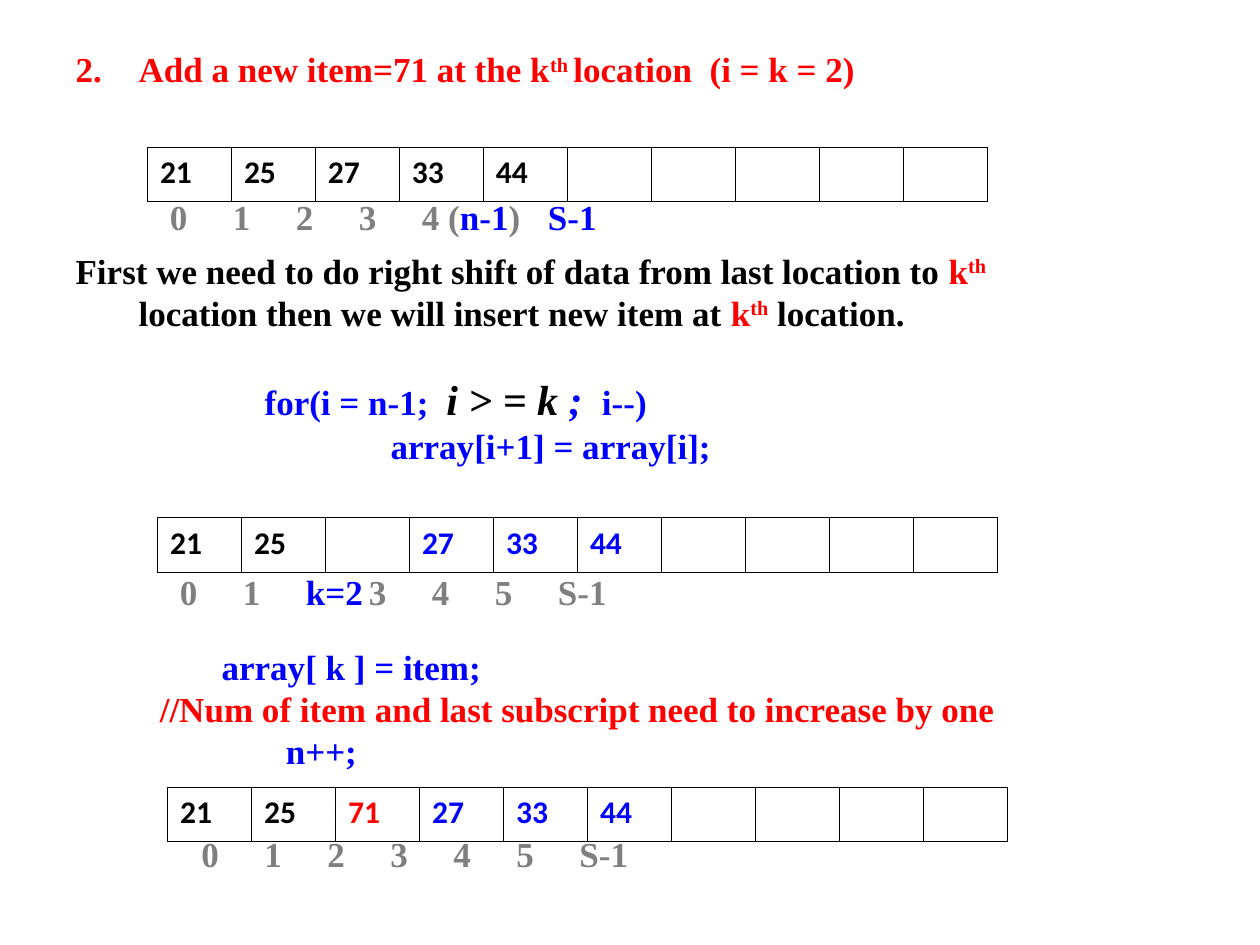
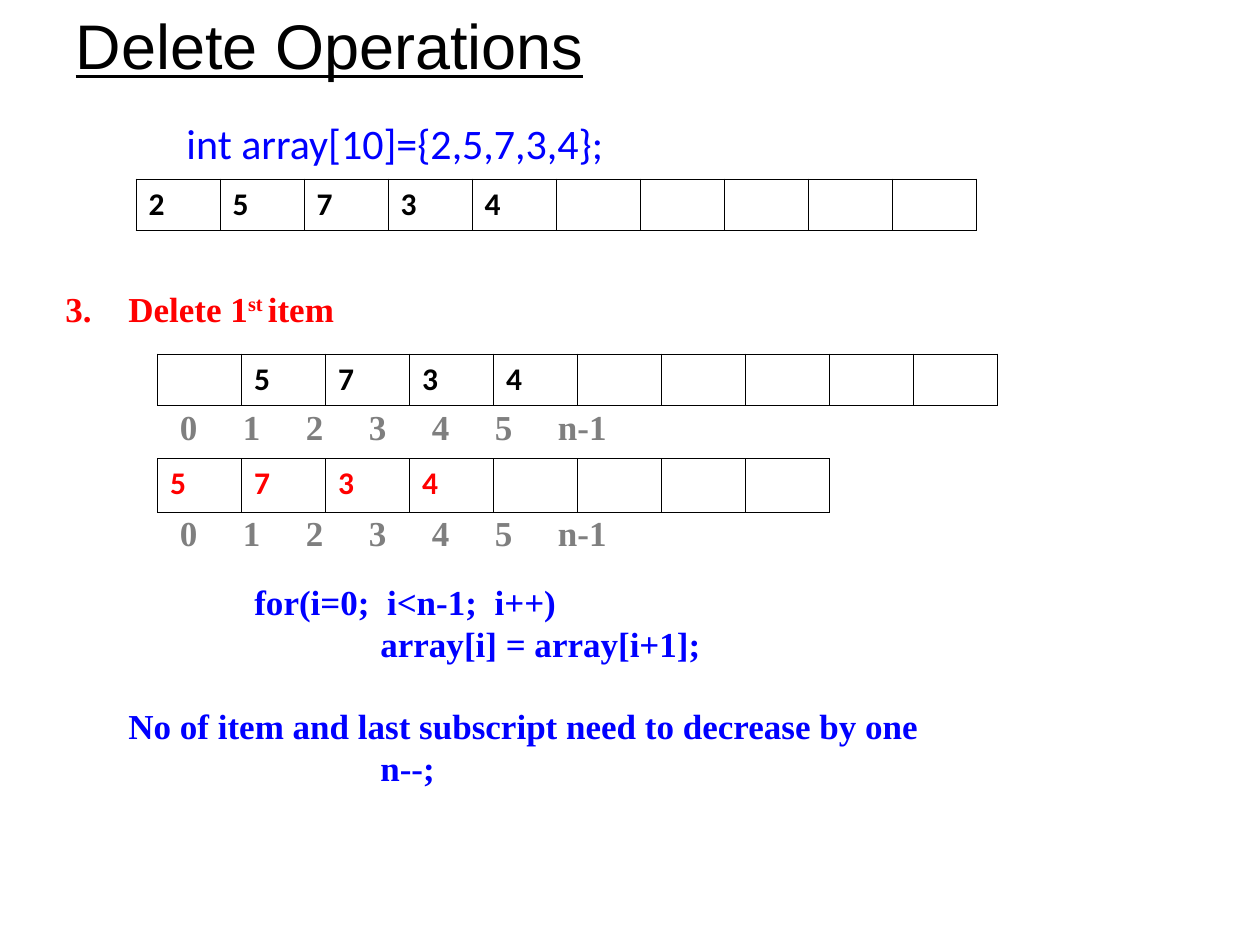
from dataclasses import dataclass

from lxml import etree
from pptx import Presentation
from pptx.dml.color import RGBColor
from pptx.enum.text import MSO_ANCHOR, MSO_AUTO_SIZE, PP_ALIGN
from pptx.oxml.ns import qn
from pptx.util import Inches, Pt

LEFT = PP_ALIGN.LEFT
TOP, MIDDLE = MSO_ANCHOR.TOP, MSO_ANCHOR.MIDDLE
NO_FIT = MSO_AUTO_SIZE.NONE

BLACK, WHITE, GRAY = "000000", "FFFFFF", "7F7F7F"
RED, BLUE = "FF0000", "0000FF"
SERIF, SANS, TITLE_FONT = "Times New Roman", "Calibri", "Arial"
CELL_WIDTH = 2 / 3
BLANK_LINE = 23
INDEX_STOPS = (0.76, 1.39, 2.01, 2.71, 3.47, 5.9)


@dataclass(frozen=True)
class Span:
    text: str
    color: str = BLUE
    size: int = 20
    font: str = SERIF
    bold: bool = True
    italic: bool = False
    underline: bool = False
    raised: bool = False


@dataclass(frozen=True)
class Line:
    spans: tuple[Span, ...]
    indent: float = 0
    hanging: float = 0
    before: float = 0
    stops: tuple[float, ...] = ()
    number: int = 0


@dataclass(frozen=True)
class Area:
    left: float
    top: float
    width: float
    height: float


@dataclass(frozen=True)
class ArrayRow:
    left: float
    top: float
    height: float
    values: tuple[str, ...]
    colors: tuple[str, ...]
    slots: int = 10


def rgb(color: str) -> RGBColor:
    return RGBColor.from_string(color)


def child(parent, tag: str, **attributes: str):
    return etree.SubElement(parent, qn(tag), attributes)


def add_span(para, span: Span) -> None:
    run = para.add_run()
    run.text = span.text
    font = run.font
    font.name, font.size = span.font, Pt(span.size)
    font.bold, font.italic, font.underline = span.bold, span.italic, span.underline
    font.color.rgb = rgb(span.color)
    if span.raised:
        font._element.set("baseline", "30000")


def format_line(para, line: Line) -> None:
    para.alignment = LEFT
    para.space_before = Pt(line.before)
    para.space_after = Pt(0)
    props = para._p.get_or_add_pPr()
    props.set("marL", str(Inches(line.indent)))
    props.set("indent", str(-Inches(line.hanging)))
    if line.number:
        child(child(props, "a:buClr"), "a:srgbClr", val=line.spans[0].color)
        child(props, "a:buFont", typeface=SERIF)
        child(props, "a:buAutoNum", type="arabicPeriod", startAt=str(line.number))
    else:
        child(props, "a:buNone")
    if line.stops:
        tabs = child(props, "a:tabLst")
        for stop in line.stops:
            child(tabs, "a:tab", pos=str(Inches(stop)), algn="l")


def write(box, lines: list[Line], anchor=TOP) -> None:
    frame = box.text_frame
    frame.word_wrap = True
    frame.auto_size = NO_FIT
    frame.vertical_anchor = anchor
    for position, line in enumerate(lines):
        para = frame.add_paragraph() if position else frame.paragraphs[0]
        format_line(para, line)
        for span in line.spans:
            add_span(para, span)


def fill_placeholder(box, area: Area, lines: list[Line], anchor=TOP) -> None:
    box.left, box.top = Inches(area.left), Inches(area.top)
    box.width, box.height = Inches(area.width), Inches(area.height)
    write(box, lines, anchor)


def add_text(page, area: Area, lines: list[Line]) -> None:
    box = page.shapes.add_textbox(
        Inches(area.left), Inches(area.top), Inches(area.width), Inches(area.height))
    write(box, lines)


def add_indices(page, left: float, top: float, spans: tuple[Span, ...],
                stops: tuple[float, ...] = INDEX_STOPS) -> None:
    add_text(page, Area(left, top, 6.58, 0.44), [Line(spans, stops=stops)])


def style_cell(cell) -> None:
    props = cell._tc.get_or_add_tcPr()
    for side in ("a:lnL", "a:lnR", "a:lnT", "a:lnB"):
        border = child(props, side, w=str(Pt(0.45)))
        child(child(border, "a:solidFill"), "a:srgbClr", val=BLACK)
    cell.fill.solid()
    cell.fill.fore_color.rgb = rgb(WHITE)


def add_array(page, row: ArrayRow) -> None:
    table = page.shapes.add_table(
        1, row.slots, Inches(row.left), Inches(row.top),
        Inches(CELL_WIDTH * row.slots), Inches(row.height)).table
    table.first_row = table.horz_banding = False
    for column in table.columns:
        column.width = Inches(CELL_WIDTH)
    for cell in table.iter_cells():
        style_cell(cell)
    for slot, (value, color) in enumerate(zip(row.values, row.colors)):
        if value:
            para = table.cell(0, slot).text_frame.paragraphs[0]
            add_span(para, Span(value, color, 18, SANS))


def build_insert_page(deck) -> None:
    page = deck.slides.add_slide(deck.slide_layouts[1])
    fill_placeholder(page.shapes.title, Area(0.5, 0.33, 8.25, 0.44), [
        Line((Span("Add a new item=71 at the k", RED), Span("th ", RED, raised=True),
              Span("location  (i = k = 2)", RED)), 0.5, 0.5, number=2)], TOP)
    kth = (Span("k", RED), Span("th", RED, raised=True))
    fill_placeholder(page.placeholders[1], Area(0.5, 1.93, 8.25, 2.1), [
        Line((Span("First we need to do right shift of data from last location to ", BLACK),
              *kth, Span(" location then we will insert new item at ", BLACK),
              *kth, Span(" location.", BLACK)), 0.5, 0.5),
        Line((Span("for(i = n-1;  "), Span("i > = k", BLACK, 24, italic=True),
              Span(" ; ", size=24, italic=True), Span(" i--)")), 1.5, before=BLANK_LINE),
        Line((Span("array[i+1] = array[i];"),), 2.5)])

    add_array(page, ArrayRow(1.17, 1.17, 0.43, ("21", "25", "27", "33", "44"), (BLACK,) * 5))
    add_indices(page, 1.25, 1.5, (
        Span("0\t1\t2\t3\t4 (", GRAY), Span("n-1"), Span(")\t", GRAY), Span("S-1")),
        (*INDEX_STOPS[:4], 5.93))

    add_array(page, ArrayRow(1.25, 4.11, 0.43, ("21", "25", "", "27", "33", "44"),
                             (BLACK,) * 3 + (BLUE,) * 3))
    add_indices(page, 1.33, 4.48, (
        Span("0\t1\t", GRAY), Span("k=2"), Span("\t3\t4\t5\tS-1", GRAY)),
        (0.76, 1.19, 2.13, 2.82, 3.37, 5.94))

    add_text(page, Area(1.17, 5.07, 7.92, 1.13), [
        Line((Span("array[ k ] = item;"),), 0.49),
        Line((Span("//Num of item and last subscript need to increase by one", RED),)),
        Line((Span("n++;"),), 1)])
    add_array(page, ArrayRow(1.33, 6.25, 0.43, ("21", "25", "71", "27", "33", "44"),
                             (BLACK,) * 2 + (RED,) + (BLUE,) * 3))
    add_indices(page, 1.5, 6.56, (Span("0\t1\t2\t3\t4\t5\tS-1", GRAY),))


def build_delete_page(deck) -> None:
    page = deck.slides.add_slide(deck.slide_layouts[1])
    fill_placeholder(page.shapes.title, Area(0.5, -0.08, 9, 0.87), [
        Line((Span("Delete Operations", BLACK, 36, TITLE_FONT, False, underline=True),))],
        MIDDLE)
    fill_placeholder(page.placeholders[1], Area(0.5, 0.88, 9, 0.5), [
        Line((Span("int array[10]={2,5,7,3,4};", BLUE, 24, SANS, False),), 0.88, before=6)])
    add_array(page, ArrayRow(1.08, 1.42, 0.41, ("2", "5", "7", "3", "4"), (BLACK,) * 5))

    add_text(page, Area(0.42, 2.23, 8.25, 0.44), [
        Line((Span("Delete 1", RED), Span("st ", RED, raised=True), Span("item", RED)),
             0.5, 0.5, number=3)])
    add_array(page, ArrayRow(1.25, 2.81, 0.41, ("", "5", "7", "3", "4"), (BLACK,) * 5))
    add_array(page, ArrayRow(1.25, 3.64, 0.43, ("5", "7", "3", "4"), (RED,) * 4, 8))
    for top in (3.17, 4.01):
        add_indices(page, 1.33, top, (Span("0\t1\t2\t3\t4\t5\tn-1", GRAY),))

    add_text(page, Area(0.92, 4.56, 7.92, 1.77), [
        Line((Span("for(i=0;  i<n-1;  i++)"),), 1),
        Line((Span("array[i] = array[i+1];"),), 2),
        Line((Span("No of item and last subscript need to decrease by one"),),
             before=BLANK_LINE),
        Line((Span("n--;"),), 2)])


def main() -> None:
    deck = Presentation()
    deck.slide_width, deck.slide_height = Inches(10), Inches(7.5)
    build_insert_page(deck)
    build_delete_page(deck)
    deck.save("out.pptx")


if __name__ == "__main__":
    main()
